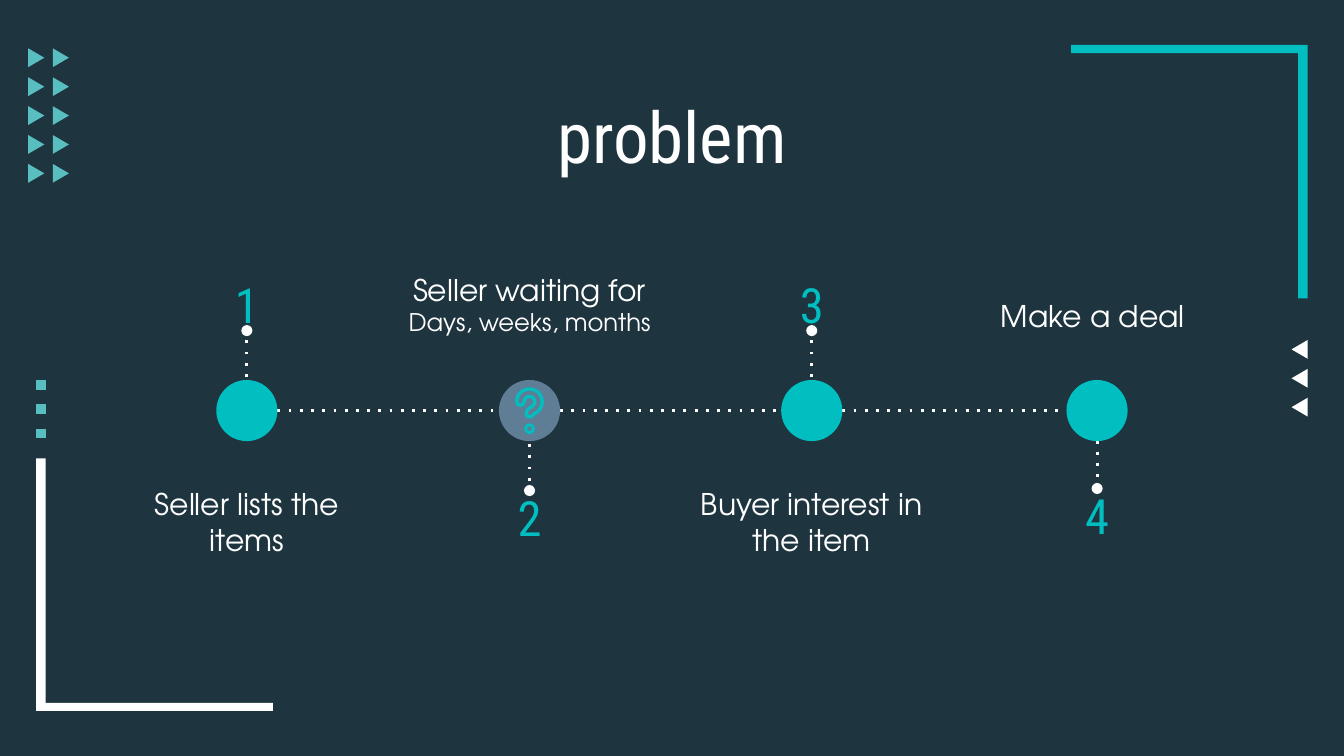
import math

import pptx
import pptx.dml.color
import pptx.enum.shapes
import pptx.enum.text
import pptx.oxml
import pptx.oxml.ns
import pptx.util

TEAL, PALE_TEAL, WHITE = "01BEC0", "58BEBF", "FFFFFF"
NAVY, SLATE = "1E343F", "5F7D95"
HEADING, BODY = "Roboto Condensed", "TeX Gyre Adventor"
NAMESPACE = pptx.oxml.ns.nsdecls("a")

deck = pptx.Presentation()
deck.slide_width = pptx.util.Inches(10)
deck.slide_height = deck.slide_width * 9 // 16
cell = deck.slide_width // 1000  # square grid of 1000 columns
page = deck.slides.add_slide(deck.slide_layouts[5])
shapes = page.shapes


def paint(fill, colour):
    fill.solid()
    fill.fore_color.rgb = pptx.dml.color.RGBColor.from_string(colour)


def write(box, lines, font, colour, anchor):
    """Fill a text frame with centred (text, size) lines."""
    frame = box.text_frame
    frame.word_wrap = True
    frame.auto_size = pptx.enum.text.MSO_AUTO_SIZE.NONE
    frame.vertical_anchor = anchor
    frame.margin_left = frame.margin_right = 10 * cell
    frame.margin_top = frame.margin_bottom = 10 * cell
    for index, (text, size) in enumerate(lines):
        para = frame.add_paragraph() if index else frame.paragraphs[0]
        para.alignment = pptx.enum.text.PP_ALIGN.CENTER
        span = para.add_run()
        span.text = text
        span.font.name = font
        span.font.size = pptx.util.Pt(size)
        paint(span.font.fill, colour)


paint(page.background.fill, NAVY)

# Decoration: triangles, squares and the two corner brackets
outlines = []
for x in (39.3, 21):
    for row in range(5):
        y = 43 + 21.5 * row
        outlines.append(([(x + 12, y), (x, y - 7), (x, y + 7)], PALE_TEAL))
for row in range(3):
    y = 260 + 21.5 * row
    outlines.append(([(961, y), (973, y + 7), (973, y - 7)], WHITE))
    y = 283 + 18 * row
    outlines.append(([(27, y), (27, y + 7), (34, y + 7), (34, y)], PALE_TEAL))
outlines.append(([(797, 33.5), (797, 39.5), (966, 39.5),
                  (966, 222), (973, 222), (973, 33.5)], TEAL))
outlines.append(([(27, 341), (27, 529), (203, 529),
                  (203, 523), (34, 523), (34, 341)], WHITE))
for points, colour in outlines:
    corners = [(x * cell, y * cell) for x, y in points]
    builder = shapes.build_freeform(*corners[0])
    builder.add_line_segments(corners[1:], close=True)
    outline = builder.convert_to_shape()
    outline.shadow.inherit = False
    paint(outline.fill, colour)
    outline.line.fill.background()

title = shapes.title
title.left, title.top = 78 * cell, 59 * cell
title.width, title.height = 844 * cell, 72 * cell
write(title, [("problem", 38)], HEADING, WHITE, pptx.enum.text.MSO_ANCHOR.TOP)

# Timeline: centre, label top, label height, label lines, number top, pin end
middle, radius = 305.5, 22.75
steps = [
    (183.7, 347, 82, [("Seller lists the items", 16)], 206.5, 246),
    (394, 198.5, 56, [("Seller waiting for", 16), ("Days, weeks, months", 13)],
     365, 365),
    (604, 347, 82, [("Buyer interest in the item", 16)], 206.5, 246),
    (816.3, 207, 56, [("Make a deal ", 16)], 363.5, 363.5),
]
lines = []
for number, (centre, top, height, label, number_top, pin_end) in enumerate(steps, 1):
    texts = [(203, top, height, label, BODY, WHITE),
             (199, number_top, 40, [(str(number), 26)], HEADING, TEAL)]
    for width, box_top, box_height, content, font, colour in texts:
        box = shapes.add_textbox(int((centre - width / 2) * cell), int(box_top * cell),
                                 width * cell, box_height * cell)
        write(box, content, font, colour, pptx.enum.text.MSO_ANCHOR.MIDDLE)
    pin_start = 328 if number == 4 else middle
    lines.append((centre, pin_start, centre, pin_end, True))
for before, after in zip(steps, steps[1:]):
    lines.append((before[0] + radius, middle, after[0] - radius, middle, False))

for *ends, has_dot in lines:
    line = shapes.add_connector(pptx.enum.shapes.MSO_CONNECTOR.STRAIGHT,
                                *[int(end * cell) for end in ends])
    paint(line.line.fill, WHITE)
    line.line.width = pptx.util.Pt(1.5)
    stroke = line.line._ln
    stroke.append(pptx.oxml.parse_xml(f'<a:prstDash {NAMESPACE} val="dot"/>'))
    if has_dot:
        stroke.append(pptx.oxml.parse_xml(f'<a:tailEnd {NAMESPACE} type="oval"/>'))
    line._element.spPr.append(pptx.oxml.parse_xml(f'<a:effectLst {NAMESPACE}/>'))

# Step discs, then the dot of the question mark
discs = [(step[0], middle, radius, SLATE if step is steps[1] else TEAL)
         for step in steps]
discs += [(394, 319, 4, TEAL), (394, 319, 1.7, SLATE)]
for x, y, size, colour in discs:
    disc = shapes.add_shape(pptx.enum.shapes.MSO_SHAPE.OVAL,
                            int((x - size) * cell), int((y - size) * cell),
                            int(2 * size * cell), int(2 * size * cell))
    disc.shadow.inherit = False
    paint(disc.fill, colour)
    disc.line.fill.background()

# Hook of the question mark: a wide stroke with a narrow one on top
hook = [(394 + 6.7 * math.cos(math.radians(angle)),
         299 + 6.7 * math.sin(math.radians(angle))) for angle in range(180, 416, 5)]
hook += [(395.2, 306.2), (394.2, 307.6)]
hook = [(x * cell, y * cell) for x, y in hook]
for width, colour in ((5.8, TEAL), (2.1, SLATE)):
    builder = shapes.build_freeform(*hook[0])
    builder.add_line_segments(hook[1:], close=False)
    curve = builder.convert_to_shape()
    curve.shadow.inherit = False
    curve.fill.background()
    paint(curve.line.fill, colour)
    curve.line.width = pptx.util.Pt(width)
    curve.line._ln.set("cap", "rnd")

deck.save("out.pptx")
